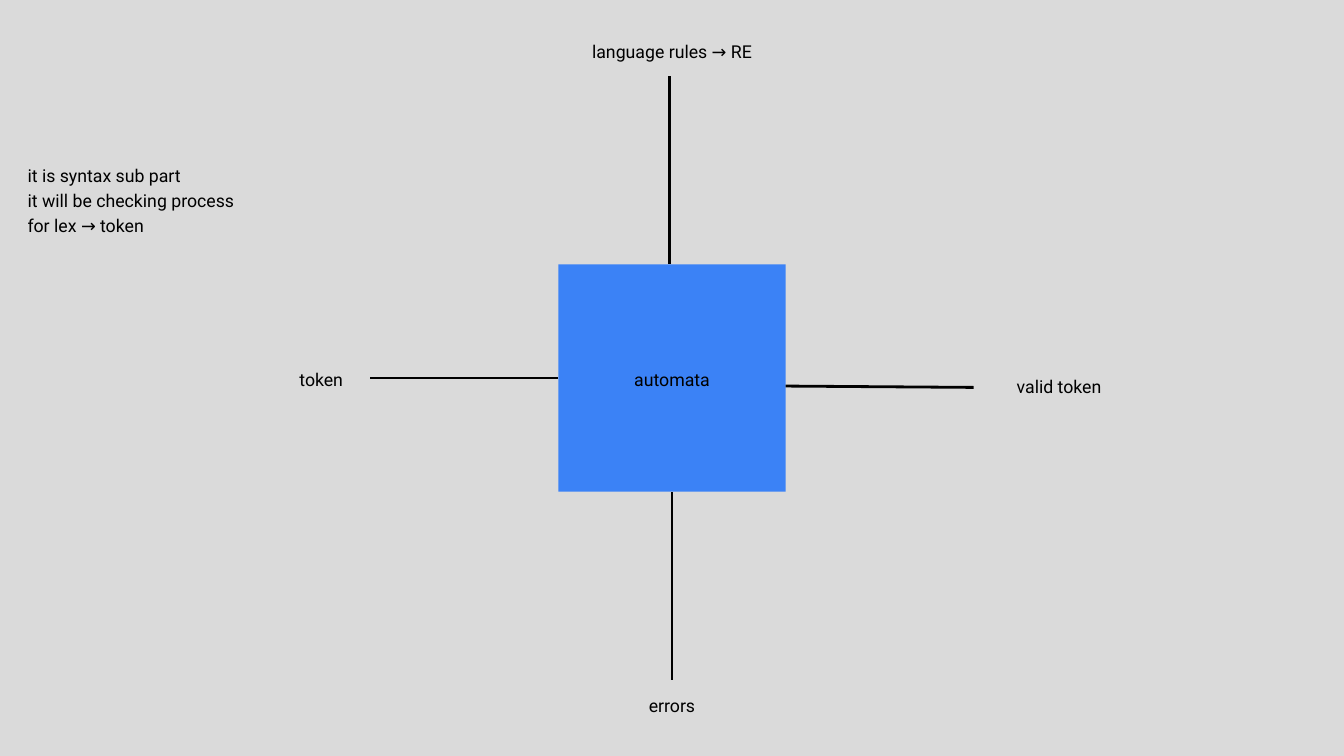
from lxml.etree import SubElement
from pptx import Presentation
from pptx.dml.color import RGBColor
from pptx.enum.shapes import MSO_CONNECTOR as CONN, MSO_SHAPE as SHAPE
from pptx.enum.text import PP_ALIGN as ALIGN
from pptx.oxml.ns import qn
from pptx.util import Inches, Pt


def rgb(code):
    return RGBColor.from_string(code)


def add_label(s, text, x, y, w, h, align):
    tf = s.shapes.add_textbox(Inches(x), Inches(y), Inches(w), Inches(h)).text_frame
    tf.margin_left = tf.margin_right = tf.margin_top = tf.margin_bottom = 0
    tf.word_wrap = False
    tf.text = text
    for p in tf.paragraphs:
        p.alignment = align
        p.line_spacing = Pt(26.6)
        for r in p.runs:
            r.font.name = "Roboto"
            r.font.size = Pt(19)
            r.font.color.rgb = rgb("000000")


W, H = 20, 11.25
SIDE, ARM, ROW = 3.38, 2.8, 0.35
cx, cy = W / 2, H / 2
left, right = cx - SIDE / 2, cx + SIDE / 2
top, bottom = cy - SIDE / 2, cy + SIDE / 2

prs = Presentation()
prs.slide_width, prs.slide_height = Inches(W), Inches(H)
s = prs.slides.add_slide(prs.slide_layouts[6])
s.background.fill.solid()
s.background.fill.fore_color.rgb = rgb("DADADA")

box = s.shapes.add_shape(SHAPE.RECTANGLE, Inches(left), Inches(top), Inches(SIDE), Inches(SIDE))
box.shadow.inherit = False
box.fill.solid()
box.fill.fore_color.rgb = rgb("3B82F6")
box.line.fill.background()

arms = [
    (left - ARM, cy, left, cy, 1),
    (right + ARM, cy + 0.14, right, cy + 0.12, None),
    (cx, bottom + ARM, cx, bottom, 2),
    (cx - 0.04, top - ARM, cx - 0.04, top, None),
]
for x1, y1, x2, y2, site in arms:
    c = s.shapes.add_connector(CONN.STRAIGHT, Inches(x1), Inches(y1), Inches(x2), Inches(y2))
    c.line.color.rgb = rgb("000000")
    c.line.width = Pt(3)
    SubElement(c._element.spPr, qn("a:effectLst"))
    if site is not None:
        c.end_connect(box, site)

labels = [
    ("automata", cx, 5.43, 1.22),
    ("language rules → RE", cx, 0.55, 2.54),
    ("valid token", 15.76, 5.54, 1.39),
    ("errors", cx, 10.29, 0.77),
    ("token", 4.78, 5.43, 0.71),
]
for text, x, y, w in labels:
    add_label(s, text, x - w / 2, y, w, ROW, ALIGN.CENTER)

notes = "it is syntax sub part\nit will be checking process\nfor lex → token"
add_label(s, notes, 0.41, 2.4, SIDE, 3 * ROW, ALIGN.LEFT)

prs.save("out.pptx")
